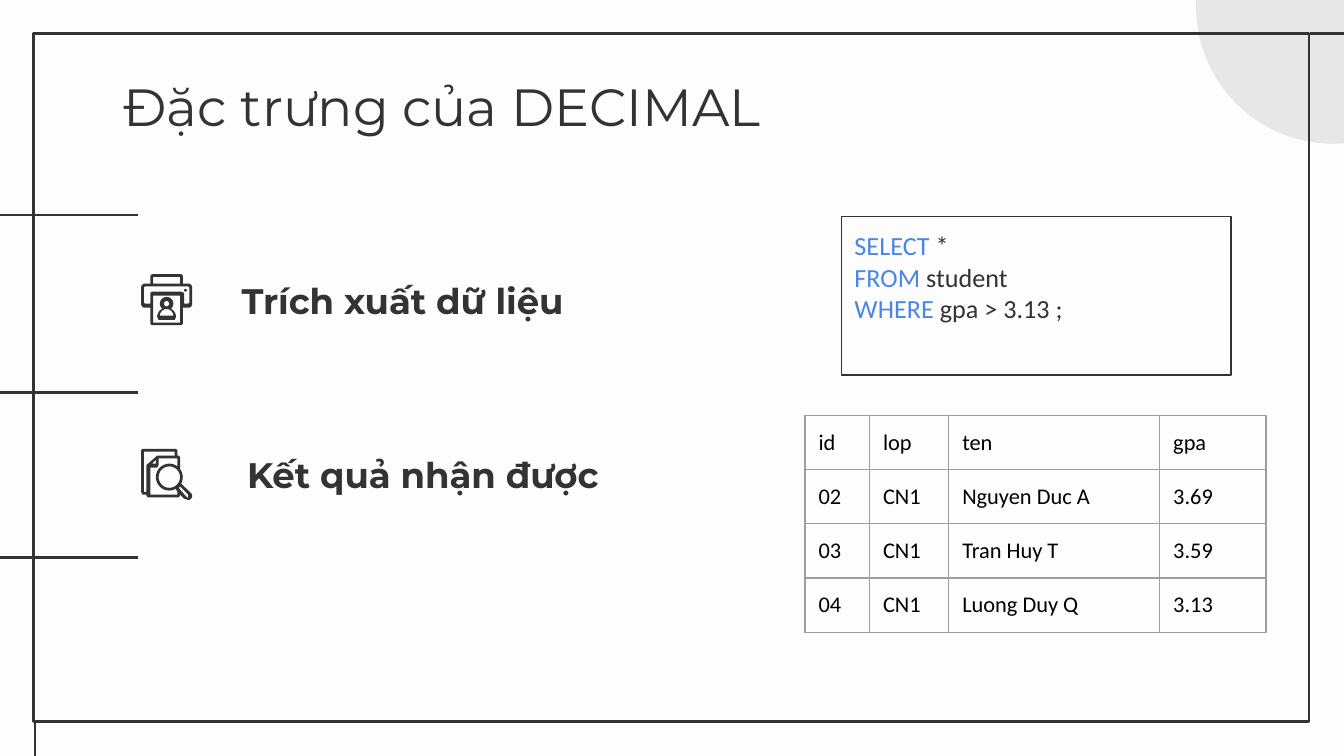
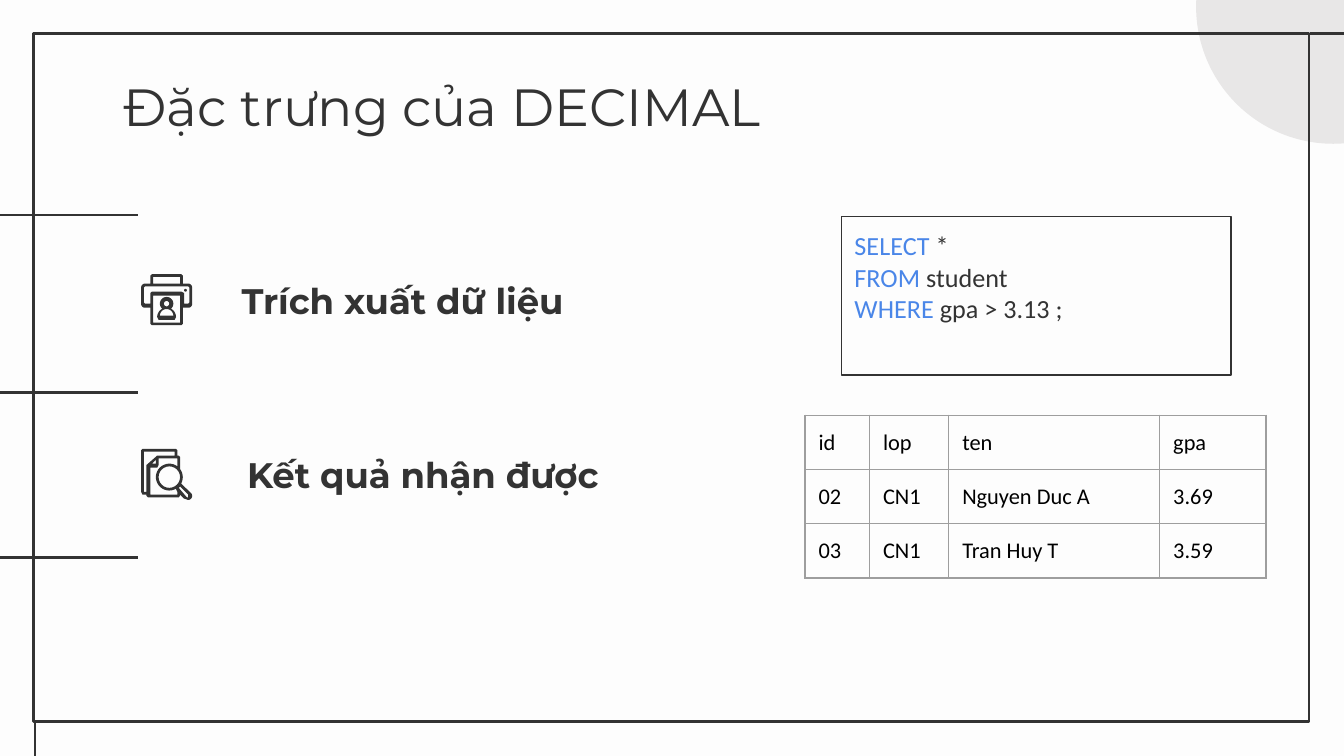
from math import cos, radians, sin

from lxml import etree
from pptx import Presentation
from pptx import util as u
from pptx.dml.color import RGBColor
from pptx.enum import shapes, text
from pptx.oxml.ns import qn

COLORS = {"paper": "FDFDFD", "ink": "333333", "circle": "E8E7E7",
          "keyword": "4A86E8", "grid": "9E9E9E", "cell": "000000"}
HEADING_FONT, BODY_FONT = "Montserrat", "Calibri"

TITLE = "Đặc trưng của DECIMAL"
HEADINGS = [("Trích xuất dữ liệu", (1.7, 1.97, 5.33, 0.52)),
            ("Kết quả nhận được", (1.74, 3.27, 2.9, 0.52))]
QUERY = [("SELECT", " *"), ("FROM", " student"), ("WHERE ", "gpa > 3.13 ;")]
HEADER = ("id", "lop", "ten", "gpa")
STUDENTS = [("02", "CN1", "Nguyen Duc A", "3.69"),
            ("03", "CN1", "Tran Huy T", "3.59"),
            ("04", "CN1", "Luong Duy Q", "3.13")]
RESULTS = [STUDENTS, STUDENTS[:2]]  # rows returned on each slide
COLUMN_WIDTHS = (0.48, 0.59, 1.57, 0.79)
ROW_HEIGHT = 0.38

FRAME_LINES = [((0, y), (1.03, y)) for y in (1.6, 2.92, 4.15)] + [
    ((10.08, 0.25), (9.75, 0.25)), ((0.26, 5.38), (0.26, 5.72))]


def arc(x, y, radius, start=0, end=360):
    """Points along a circle, angles in degrees clockwise from the right."""
    steps = 24
    angles = [radians(start + (end - start) * i / steps) for i in range(steps + 1)]
    return [(x + radius * cos(a), y + radius * sin(a)) for a in angles]


def rectangle(left, top, right, bottom):
    return [(left, top), (right, top), (right, bottom), (left, bottom)]


# Each icon part is a list of contours; inner contours are holes.
PRINTER = [
    [(1.13, 2.04), (1.12, 2.05), (1.12, 2.11), *arc(1.08, 2.14, 0.03, 270, 180),
     *arc(1.08, 2.26, 0.03, 180, 90), (1.12, 2.29), (1.12, 2.41), (1.13, 2.42),
     (1.35, 2.42), (1.36, 2.41), (1.36, 2.29), *arc(1.4, 2.26, 0.03, 90, 0),
     *arc(1.4, 2.14, 0.03, 0, -90), (1.36, 2.11), (1.36, 2.05), (1.35, 2.04)],
    rectangle(1.14, 2.06, 1.34, 2.11),
    [(1.4, 2.13), (1.41, 2.14), (1.41, 2.25), (1.4, 2.26), (1.37, 2.26),
     (1.37, 2.18), (1.35, 2.17), (1.13, 2.17), (1.12, 2.18), (1.12, 2.26),
     (1.08, 2.26), (1.07, 2.25), (1.07, 2.14), (1.08, 2.13)],
    rectangle(1.14, 2.2, 1.34, 2.4),
]
PRINTER_LIGHT = [arc(1.38, 2.16, 0.01)]
PERSON = [
    [*arc(1.24, 2.26, 0.05, 135, 405), *arc(1.24, 2.36, 0.07, -60, 0),
     (1.3, 2.38), (1.18, 2.38), *arc(1.24, 2.36, 0.07, 180, 240)],
    arc(1.24, 2.26, 0.02),
    arc(1.24, 2.35, 0.05, 180, 360),
]
SEARCH = [
    [(1.06, 3.34), (1.05, 3.35), (1.05, 3.66), (1.06, 3.68), (1.09, 3.68),
     (1.09, 3.69), (1.1, 3.7), (1.33, 3.7), (1.34, 3.69), (1.34, 3.68),
     (1.37, 3.71), *arc(1.4, 3.69, 0.03, 90, -45), (1.35, 3.6),
     *arc(1.26, 3.55, 0.1, 25, -37), (1.34, 3.4), (1.33, 3.39), (1.32, 3.39),
     (1.32, 3.35), (1.31, 3.34)],
    [(1.16, 3.42), (1.16, 3.45), (1.13, 3.45)],
    arc(1.26, 3.55, 0.08),
    [(1.3, 3.36), (1.3, 3.39), (1.17, 3.39), (1.09, 3.46), (1.09, 3.66),
     (1.07, 3.66), (1.07, 3.36)],
    [(1.32, 3.41), (1.32, 3.47), *arc(1.26, 3.55, 0.1, -53, -299), (1.32, 3.66),
     (1.32, 3.68), (1.12, 3.68), (1.12, 3.48), (1.17, 3.48), (1.18, 3.46),
     (1.18, 3.41)],
    [(1.34, 3.62), (1.4, 3.68), (1.4, 3.7), (1.39, 3.7), (1.33, 3.63)],
]
ICONS = [SEARCH, PRINTER, PRINTER_LIGHT, PERSON]


def rgb(name):
    return RGBColor.from_string(COLORS[name])


def inches(values):
    return [u.Inches(value) for value in values]


def set_font(font, name, size, color, bold=False):
    font.name, font.size, font.bold = name, u.Pt(size), bold
    font.color.rgb = rgb(color)


def style(shape, fill=None, line=None, width=1.5):
    shape.shadow.inherit = False
    if fill:
        shape.fill.solid()
        shape.fill.fore_color.rgb = rgb(fill)
    else:
        shape.fill.background()
    if line:
        shape.line.color.rgb = rgb(line)
        shape.line.width = u.Pt(width)
    else:
        shape.line.fill.background()


def set_frame(frame, anchor):
    frame.word_wrap = True
    frame.auto_size = text.MSO_AUTO_SIZE.NONE
    frame.vertical_anchor = anchor
    frame.margin_left = frame.margin_right = u.Inches(0.1)
    frame.margin_top = frame.margin_bottom = u.Inches(0.1)


def decorate_layout(layout, slide):
    """Build the shared frame on a slide, then move it to the layout."""
    layout.background.fill.solid()
    layout.background.fill.fore_color.rgb = rgb("paper")
    for holder in list(layout.placeholders):
        if holder.placeholder_format.type != shapes.PP_PLACEHOLDER.TITLE:
            layout.shapes.element.remove(holder.element)
    circle = slide.shapes.add_shape(shapes.MSO_SHAPE.OVAL, *inches((8.9, -0.97, 2.04, 2.04)))
    style(circle, fill="circle")
    border = slide.shapes.add_shape(shapes.MSO_SHAPE.RECTANGLE, *inches((0.25, 0.25, 9.49, 5.12)))
    style(border, line="ink")
    parts = [circle, border]
    for start, end in FRAME_LINES:
        line = slide.shapes.add_connector(shapes.MSO_CONNECTOR.STRAIGHT, *inches(start + end))
        line.line.color.rgb = rgb("ink")
        line.line.width = u.Pt(1.5)
        etree.SubElement(line.element.spPr, qn("a:effectLst"))
        parts.append(line)
    for part in parts:
        layout.shapes.element.append(part.element)


def add_title(slide):
    title = slide.shapes.title
    title.left, title.top, title.width, title.height = inches((0.82, 0.45, 5.53, 0.67))
    set_frame(title.text_frame, text.MSO_ANCHOR.TOP)
    para = title.text_frame.paragraphs[0]
    para.text = TITLE
    para.alignment = text.PP_ALIGN.LEFT
    set_font(para.font, HEADING_FONT, 28, "ink")


def add_heading(slide, words, place):
    box = slide.shapes.add_textbox(*inches(place))
    set_frame(box.text_frame, text.MSO_ANCHOR.BOTTOM)
    para = box.text_frame.paragraphs[0]
    para.text = words
    para.line_spacing = 1.15
    set_font(para.font, HEADING_FONT, 19, "ink", bold=True)


def add_icon(slide, contours):
    builder = None
    for contour in contours:
        first, *others = [inches(point) for point in contour]
        if builder is None:
            builder = slide.shapes.build_freeform(*first)
        else:
            builder.move_to(*first)
        builder.add_line_segments(others, close=True)
    style(builder.convert_to_shape(), fill="ink")


def add_query(slide):
    box = slide.shapes.add_shape(shapes.MSO_SHAPE.RECTANGLE, *inches((6.26, 1.61, 2.9, 1.18)))
    style(box, line="ink", width=0.75)
    frame = box.text_frame
    set_frame(frame, text.MSO_ANCHOR.TOP)
    for i, (keyword, rest) in enumerate(QUERY):
        para = frame.add_paragraph() if i else frame.paragraphs[0]
        para.alignment = text.PP_ALIGN.LEFT
        for words, color in ((keyword, "keyword"), (rest, "ink")):
            span = para.add_run()
            span.text = words
            set_font(span.font, BODY_FONT, 14, color)


def add_borders(cell):
    properties = cell._tc.get_or_add_tcPr()
    for i, side in enumerate(("lnL", "lnR", "lnT", "lnB")):
        line = etree.Element(qn(f"a:{side}"), w=str(u.Pt(0.75)))
        fill = etree.SubElement(line, qn("a:solidFill"))
        etree.SubElement(fill, qn("a:srgbClr"), val=COLORS["grid"])
        properties.insert(i, line)


def add_results(slide, students):
    rows = [HEADER, *students]
    table = slide.shapes.add_table(
        len(rows), len(HEADER),
        *inches((5.99, 3.09, sum(COLUMN_WIDTHS), ROW_HEIGHT * len(rows)))).table
    table.first_row = table.horz_banding = False
    for column, width in zip(table.columns, COLUMN_WIDTHS):
        column.width = u.Inches(width)
    for row, values in zip(table.rows, rows):
        row.height = u.Inches(ROW_HEIGHT)
        for cell, value in zip(row.cells, values):
            cell.margin_left = cell.margin_right = u.Inches(0.1)
            cell.margin_top = cell.margin_bottom = u.Inches(0.1)
            cell.fill.background()
            add_borders(cell)
            para = cell.text_frame.paragraphs[0]
            para.text = value
            set_font(para.font, BODY_FONT, 12, "cell")


def main():
    deck = Presentation()
    deck.slide_width = u.Inches(10)
    deck.slide_height = deck.slide_width * 9 // 16
    layout = deck.slide_layouts[5]
    for i, students in enumerate(RESULTS):
        slide = deck.slides.add_slide(layout)
        if i == 0:
            decorate_layout(layout, slide)
        add_title(slide)
        for words, place in HEADINGS:
            add_heading(slide, words, place)
        for contours in ICONS:
            add_icon(slide, contours)
        add_query(slide)
        add_results(slide, students)
    deck.save("out.pptx")


if __name__ == "__main__":
    main()
